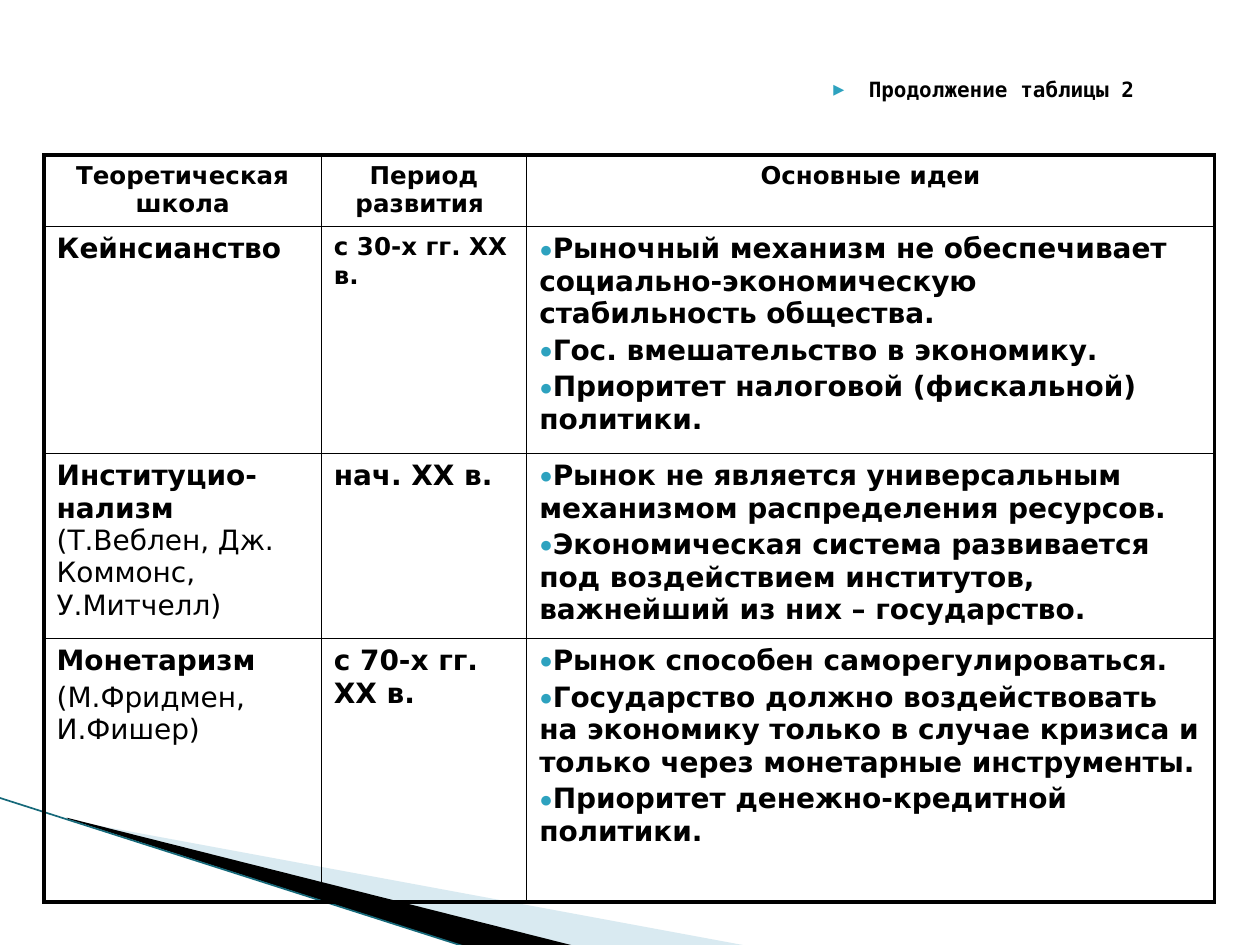
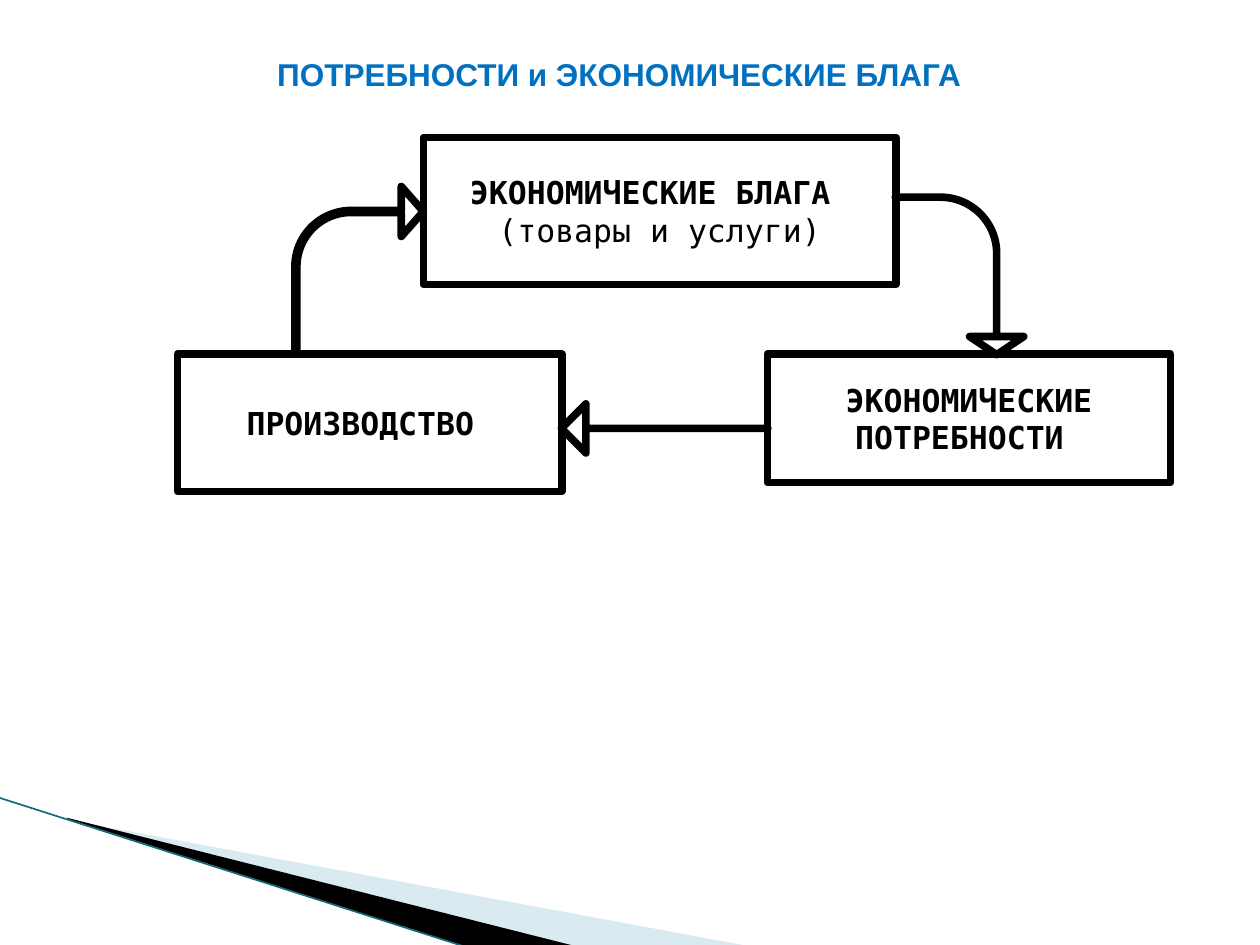
from lxml.etree import SubElement
from pptx import Presentation
from pptx.dml.color import RGBColor
from pptx.enum.shapes import MSO_CONNECTOR, MSO_SHAPE
from pptx.enum.text import MSO_ANCHOR, PP_ALIGN
from pptx.oxml import parse_xml
from pptx.oxml.ns import nsdecls, qn
from pptx.util import Inches, Pt

BLACK = RGBColor(0, 0, 0)
PALE_BLUE = RGBColor(0xA0, 0xCB, 0xDC)
TEAL = RGBColor(0x16, 0x69, 0x7A)
BULLET_BLUE = RGBColor(0x2D, 0xA2, 0xBF)
TITLE_BLUE = RGBColor(0x00, 0x70, 0xC0)

SANS = "DejaVu Sans"
MONO = "DejaVu Sans Mono"
TITLE_FONT = "Arial"
DIAGRAM_LINE = Pt(4.33)
OUTER_BORDER, INNER_BORDER = Pt(2.25), Pt(1)

COLUMN_WIDTHS = [2.2, 1.63, 5.46]
ROW_HEIGHTS = [0.57, 1.8, 1.47, 2.09]
HEADINGS = ["Теоретическая школа", "Период развития ", "Основные идеи"]

# Each school: paragraphs of (text, bold) spans, period, period size, ideas
SCHOOLS = [
    ([[("Кейнсианство", True)]], "с 30-х гг. ХХ в.", 14,
     ["Рыночный механизм не обеспечивает социально-экономическую "
      "стабильность общества.",
      "Гос. вмешательство в экономику.",
      "Приоритет налоговой (фискальной) политики."]),
    ([[("Институцио-нализм ", True),
       ("(Т.Веблен, Дж. Коммонс, У.Митчелл)", False)]], "нач. ХХ в.", 16,
     ["Рынок не является универсальным механизмом распределения ресурсов.",
      "Экономическая система развивается под воздействием институтов, "
      "важнейший из них – государство."]),
    ([[("Монетаризм", True)], [("(М.Фридмен, И.Фишер)", False)]],
     "с 70-х гг. ХХ в.", 16,
     ["Рынок способен саморегулироваться.",
      "Государство должно воздействовать на экономику только в случае "
      "кризиса и только через монетарные инструменты.",
      "Приоритет денежно-кредитной политики."]),
]


# Text
def add_span(para, text, size, font, bold=True, color=BLACK):
    span = para.add_run()
    span.text = text
    span.font.size = Pt(size)
    span.font.name = font
    span.font.bold = bold
    span.font.color.rgb = color


def add_bullet(para, symbol, percent, font, margin=0, indent=0):
    properties = para._p.get_or_add_pPr()
    properties.set("marL", str(Inches(margin)))
    properties.set("indent", str(Inches(indent)))
    color = SubElement(properties, qn("a:buClr"))
    SubElement(color, qn("a:srgbClr"), val=str(BULLET_BLUE))
    SubElement(properties, qn("a:buSzPct"), val=str(percent * 1000))
    SubElement(properties, qn("a:buFont"), typeface=font)
    SubElement(properties, qn("a:buChar"), char=symbol)


def add_paragraphs(frame, paragraphs, size, font, align=PP_ALIGN.LEFT,
                   space_before=0):
    frame.word_wrap = True
    for index, spans in enumerate(paragraphs):
        para = frame.add_paragraph() if index else frame.paragraphs[0]
        para.alignment = align
        para.space_before = Pt(space_before)
        for text, bold in spans:
            add_span(para, text, size, font, bold)
    return frame.paragraphs


def add_text_box(page, left, top, width, height, align):
    box = page.shapes.add_textbox(Inches(left), Inches(top),
                                  Inches(width), Inches(height))
    box.text_frame.word_wrap = True
    para = box.text_frame.paragraphs[0]
    para.alignment = align
    return para


# Shared corner decoration
def add_wedge(page, points, color, alpha=None):
    corners = [(Inches(x), Inches(y)) for x, y in points]
    builder = page.shapes.build_freeform(*corners[0], scale=1.0)
    builder.add_line_segments(corners[1:], close=True)
    wedge = builder.convert_to_shape()
    wedge.shadow.inherit = False
    wedge.line.fill.background()
    wedge.fill.solid()
    wedge.fill.fore_color.rgb = color
    if alpha:
        tone = wedge._element.spPr.find(qn("a:solidFill")).find(qn("a:srgbClr"))
        SubElement(tone, qn("a:alpha"), val=str(alpha * 1000))


def add_page(deck):
    page = deck.slides.add_slide(deck.slide_layouts[6])
    add_wedge(page, [(0.55, 6.51), (5.95, 7.51), (4.56, 7.51), (0.55, 6.5)],
              PALE_BLUE, alpha=40)
    add_wedge(page, [(0.53, 6.49), (4.57, 7.51), (3.72, 7.52), (0.54, 6.5)],
              BLACK)
    edge = page.shapes.add_connector(MSO_CONNECTOR.STRAIGHT, Inches(-0.01),
                                     Inches(6.33), Inches(3.71), Inches(7.52))
    edge.line.color.rgb = TEAL
    edge.line.width = Pt(0.95)
    SubElement(edge._element.spPr, qn("a:effectLst"))
    return page


# Table
def set_borders(cell, widths):
    cell.fill.background()
    properties = cell._tc.get_or_add_tcPr()
    for index, (side, width) in enumerate(widths.items()):
        properties.insert(index, parse_xml(
            f'<a:ln{side} {nsdecls("a")} w="{width}"><a:solidFill>'
            f'<a:srgbClr val="{BLACK}"/></a:solidFill></a:ln{side}>'))


def add_schools_table(page):
    rows, columns = len(ROW_HEIGHTS), len(COLUMN_WIDTHS)
    table = page.shapes.add_table(
        rows, columns, Inches(0.35), Inches(1.23),
        Inches(sum(COLUMN_WIDTHS)), Inches(sum(ROW_HEIGHTS))).table
    table.first_row = table.horz_banding = False
    for column, width in zip(table.columns, COLUMN_WIDTHS):
        column.width = Inches(width)
    for row, height in zip(table.rows, ROW_HEIGHTS):
        row.height = Inches(height)

    # Heavy frame outside, thin grid inside
    for r in range(rows):
        for c in range(columns):
            on_frame = {"L": c == 0, "R": c == columns - 1,
                        "T": r == 0, "B": r == rows - 1}
            set_borders(table.cell(r, c), {
                side: OUTER_BORDER if outer else INNER_BORDER
                for side, outer in on_frame.items()})

    for c, heading in enumerate(HEADINGS):
        add_paragraphs(table.cell(0, c).text_frame, [[(heading, True)]],
                       14, SANS, PP_ALIGN.CENTER, 2.5)
    for r, (school, period, period_size, ideas) in enumerate(SCHOOLS, 1):
        contents = [(school, 16), ([[(period, True)]], period_size),
                    ([[(idea, True)] for idea in ideas], 16)]
        for c, (paragraphs, size) in enumerate(contents):
            paras = add_paragraphs(table.cell(r, c).text_frame, paragraphs,
                                   size, SANS, space_before=2.5)
        for para in paras:
            add_bullet(para, "●", 80, "Arial")


# Diagram
def add_outline(page, kind, left, top, width, height):
    shape = page.shapes.add_shape(kind, Inches(left), Inches(top),
                                  Inches(width), Inches(height))
    shape.shadow.inherit = False
    shape.fill.background()
    shape.line.color.rgb = BLACK
    shape.line.width = DIAGRAM_LINE
    # Rounded corners on the heavy outline
    SubElement(shape.line._get_or_add_ln(), qn("a:round"))
    return shape


def add_box(page, left, top, width, height, paragraphs):
    box = add_outline(page, MSO_SHAPE.RECTANGLE, left, top, width, height)
    box.text_frame.vertical_anchor = MSO_ANCHOR.MIDDLE
    add_paragraphs(box.text_frame, paragraphs, 18, MONO, PP_ALIGN.CENTER)


def add_arrow(page, kind, left, top, width, height, adjustments, rotation=0):
    arrow = add_outline(page, kind, left, top, width, height)
    arrow.rotation = rotation
    for index, value in enumerate(adjustments):
        arrow.adjustments[index] = value


def build_schools_page(deck):
    page = add_page(deck)
    caption = add_text_box(page, 0.55, 0.58, 8.55, 0.34, PP_ALIGN.RIGHT)
    caption.line_spacing = 0.9
    caption.space_before = Pt(4)
    add_bullet(caption, "▶", 68, SANS, margin=0.4, indent=-0.28)
    add_span(caption, "Продолжение таблицы 2", 12, MONO)
    add_schools_table(page)


def build_needs_page(deck):
    page = add_page(deck)
    add_arrow(page, MSO_SHAPE.BENT_ARROW, 6.99, 1.68, 1.25, 1.02,
              [0, 0.211, 0.141, 0.438], rotation=90)
    title = add_text_box(page, 0.62, 0.39, 8.59, 3.43, PP_ALIGN.CENTER)
    add_span(title, "ПОТРЕБНОСТИ и ЭКОНОМИЧЕСКИЕ БЛАГА", 18, TITLE_FONT,
             color=TITLE_BLUE)
    add_box(page, 6.09, 2.81, 3.2, 1.02,
            [[("ЭКОНОМИЧЕСКИЕ ПОТРЕБНОСТИ ", True)]])
    add_box(page, 1.41, 2.81, 3.05, 1.09, [[("ПРОИЗВОДСТВО ", True)]])
    add_arrow(page, MSO_SHAPE.BENT_ARROW, 2.34, 1.48, 1.02, 1.33,
              [0.016, 0.195, 0.172, 0.438])
    add_box(page, 3.36, 1.09, 3.75, 1.17,
            [[("ЭКОНОМИЧЕСКИЕ БЛАГА ", True)], [("(товары и услуги)", False)]])
    add_arrow(page, MSO_SHAPE.DOWN_ARROW, 5.08, 2.58, 0.39, 1.64, [0, 0.5],
              rotation=90)


def main():
    deck = Presentation()
    deck.slide_width, deck.slide_height = Inches(10), Inches(7.5)
    build_schools_page(deck)
    build_needs_page(deck)
    deck.save("out.pptx")


if __name__ == "__main__":
    main()
